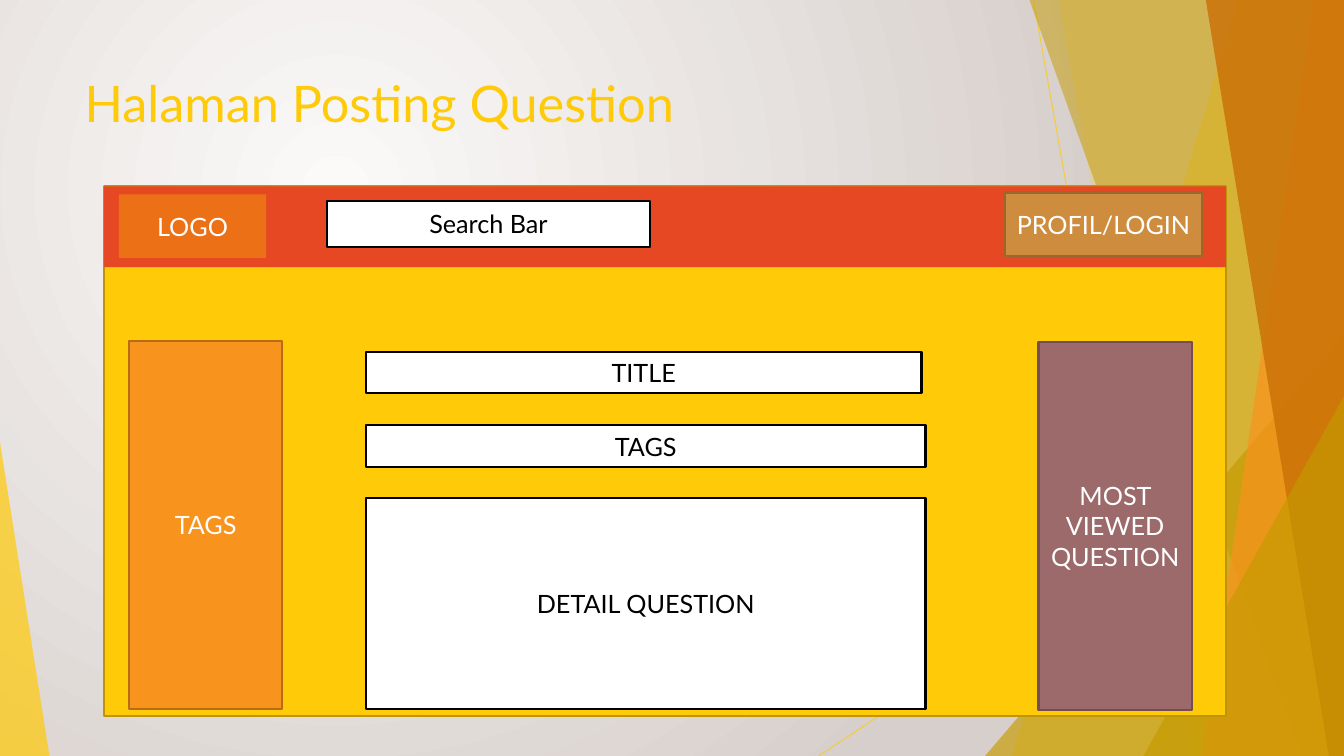
from pptx import Presentation
from pptx import util as u
from pptx.dml.color import RGBColor
from pptx.enum import shapes, text
from pptx.oxml import parse_xml
from pptx.oxml.ns import nsdecls, qn

WIDTH, HEIGHT = 13.33, 7.5
FONT = "Lato"
COLORS = {
    "yellow": "FFCA08", "yellow_edge": "BD9506", "gold": "C59B00",
    "red": "E64823", "logo": "EC7016", "profile": "CE8D3E",
    "profile_edge": "98682E", "orange": "F8931D", "orange_edge": "B76D15",
    "brown": "CA6F06", "mauve": "9C6A6A", "mauve_edge": "734E4E",
    "white": "FFFFFF", "black": "000000", "light": "FBFAF9", "shade": "D7CFCB",
}

# Content: label, (left, top, width, height), fill, line, text colour
TITLE = "Halaman Posting Question"
PAGE_LEFT, PAGE_TOP, PAGE_WIDTH = 1.03, 1.85, 11.13
FIELD_LEFT, FIELD_WIDTH = 3.63, 5.55
SIDE_WIDTH, SIDE_HEIGHT = 1.52, 3.65
FIELD_STYLE = ("white", "black", "black")
WIREFRAME = [
    ("", (PAGE_LEFT, PAGE_TOP, PAGE_WIDTH, 5.25), "yellow", "yellow_edge", "white"),
    ("", (PAGE_LEFT, PAGE_TOP, PAGE_WIDTH, 0.8), "red", None, "white"),
    ("LOGO", (1.18, 1.93, 1.46, 0.63), "logo", None, "white"),
    ("PROFIL/LOGIN", (9.97, 1.91, 1.95, 0.63), "profile", "profile_edge", "white"),
    ("TAGS", (1.28, 3.38, SIDE_WIDTH, SIDE_HEIGHT), "orange", "orange_edge", "white"),
    ("MOST VIEWED QUESTION", (10.3, 3.39, SIDE_WIDTH, SIDE_HEIGHT),
     "mauve", "mauve_edge", "white"),
    ("Search Bar", (3.24, 1.99, 3.21, 0.46), *FIELD_STYLE),
    ("TITLE", (FIELD_LEFT, 3.49, 5.51, 0.41), *FIELD_STYLE),
    ("TAGS", (FIELD_LEFT, 4.22, FIELD_WIDTH, 0.41), *FIELD_STYLE),
    ("DETAIL QUESTION", (FIELD_LEFT, 4.94, FIELD_WIDTH, 2.09), *FIELD_STYLE),
]

# Decoration: rays are lines, bands reach the right edge, wedges stand on the bottom
RAYS = [(10.25, 0, 11.58, HEIGHT), (WIDTH, 4.03, 8.12, HEIGHT)]
FACETS = [  # kind, first x, second x or top, colour, opacity
    ("band", 12.28, 10.04, "yellow", 36),
    ("band", 10.5, 11.83, "yellow", 20),
    ("right wedge", 9.77, 3.33, "gold", 66),
    ("band", 10.21, 12.91, "gold", 50),
    ("band", 13.03, 11.92, "orange", 70),
    ("band", 11.96, 13.18, "brown", 80),
    ("right wedge", 11.34, 3.93, "gold", 66),
    ("left wedge", 0.49, 4.39, "yellow", 70),
]


def color(name):
    return RGBColor.from_string(COLORS[name])


def inches(values):
    return [u.Inches(value) for value in values]


def set_opacity(element, percent):
    for rgb in element.spPr.iter(qn("a:srgbClr")):
        rgb.append(parse_xml(f'<a:alpha {nsdecls("a")} val="{percent * 1000}"/>'))


def style(shape, fill, line=None):
    shape.shadow.inherit = False
    shape.fill.solid()
    shape.fill.fore_color.rgb = color(fill)
    if line:
        shape.line.color.rgb = color(line)
        shape.line.width = u.Pt(1.5)
    else:
        shape.line.fill.background()


def write(shape, words, size=18, ink="white", align=text.PP_ALIGN.CENTER,
          anchor=text.MSO_ANCHOR.MIDDLE):
    frame = shape.text_frame
    frame.word_wrap = True
    frame.auto_size = text.MSO_AUTO_SIZE.NONE
    frame.vertical_anchor = anchor
    paragraph = frame.paragraphs[0]
    paragraph.alignment = align
    run = paragraph.add_run()
    run.text = words
    run.font.name, run.font.size = FONT, u.Pt(size)
    run.font.color.rgb = color(ink)


presentation = Presentation()
presentation.slide_width, presentation.slide_height = inches((WIDTH, HEIGHT))
slide = presentation.slides.add_slide(presentation.slide_layouts[5])

# Background: radial gradient centred in the upper left
fill = slide.background.fill
fill.gradient()
for stop, name, position in zip(fill.gradient_stops, ("light", "shade"), (0, 1)):
    stop.color.rgb = color(name)
    stop.position = position
gradient = slide.element.xpath(".//a:gradFill")[0]
gradient.remove(gradient.find(qn("a:lin")))
gradient.append(parse_xml(
    f'<a:path {nsdecls("a")} path="circle">'
    '<a:fillToRect l="50000" t="50000" r="100000" b="100000"/></a:path>'))

# Rays
for ray in RAYS:
    connector = slide.shapes.add_connector(shapes.MSO_CONNECTOR.STRAIGHT, *inches(ray))
    connector.line.color.rgb = color("yellow")
    connector.line.width = u.Pt(0.75)
    set_opacity(connector.element, 70)
    connector.element.spPr.append(parse_xml(f'<a:effectLst {nsdecls("a")}/>'))

# Facets
for kind, first, second, name, opacity in FACETS:
    if kind == "band":
        corners = [(first, 0), (WIDTH, 0), (WIDTH, HEIGHT), (second, HEIGHT)]
        points = [inches(corner) for corner in corners]
        builder = slide.shapes.build_freeform(*points[0])
        builder.add_line_segments(points[1:], close=True)
        facet = builder.convert_to_shape()
    else:
        on_right = kind == "right wedge"
        left, right = (first, WIDTH) if on_right else (0, first)
        facet = slide.shapes.add_shape(
            shapes.MSO_SHAPE.ISOSCELES_TRIANGLE,
            *inches((left, second, right - left, HEIGHT - second)))
        facet.adjustments[0] = 1 if on_right else 0
    style(facet, name)
    set_opacity(facet.element, opacity)

# Title
title = slide.shapes.title
title.left, title.top, title.width, title.height = inches((0.74, 0.67, 9.4, 1.44))
write(title, TITLE, size=36, ink="yellow", align=text.PP_ALIGN.LEFT,
      anchor=text.MSO_ANCHOR.TOP)

# Wireframe of the page
for label, box, fill_name, line_name, ink in WIREFRAME:
    shape = slide.shapes.add_shape(shapes.MSO_SHAPE.RECTANGLE, *inches(box))
    style(shape, fill_name, line_name)
    if label:
        write(shape, label, ink=ink)

presentation.save("out.pptx")
